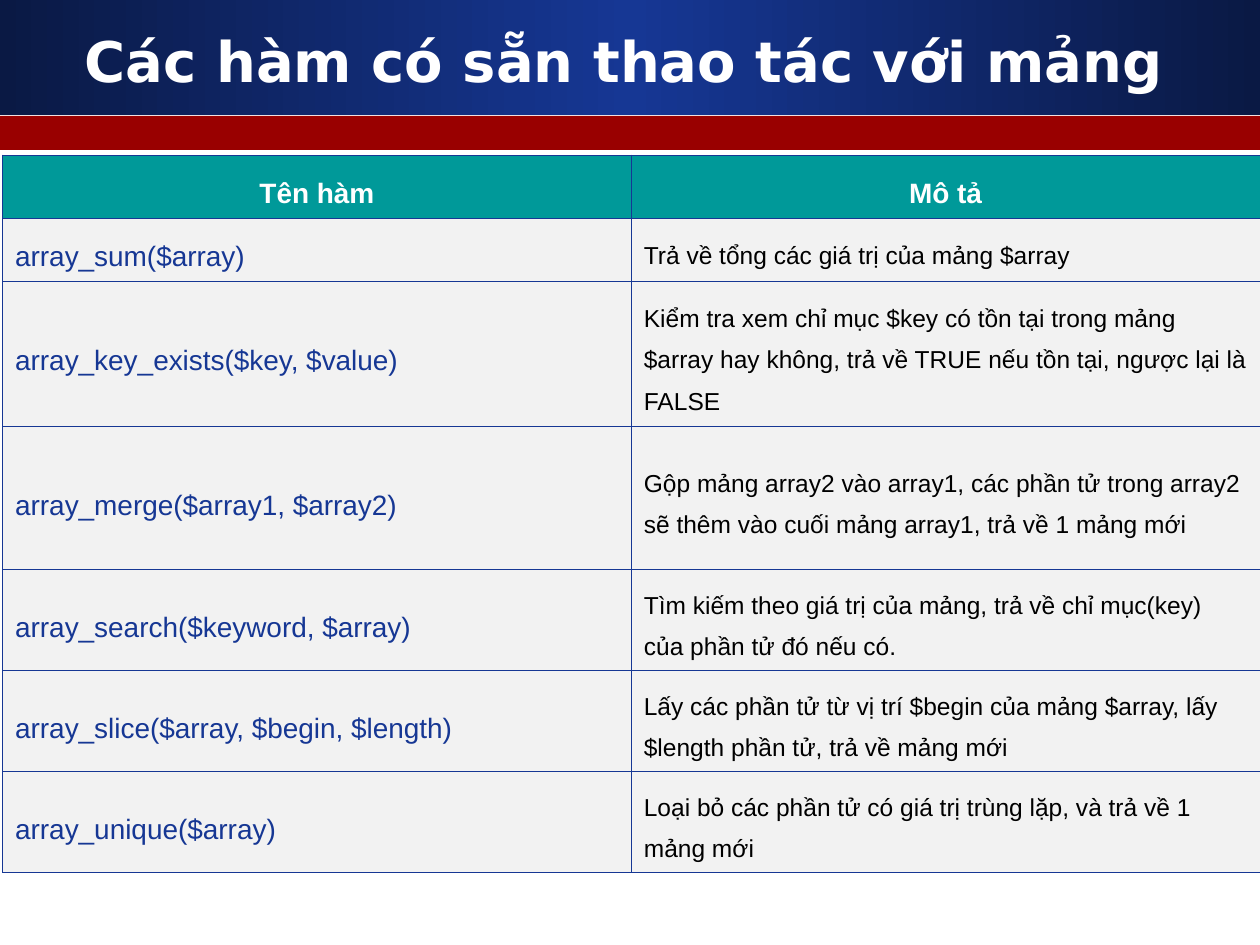
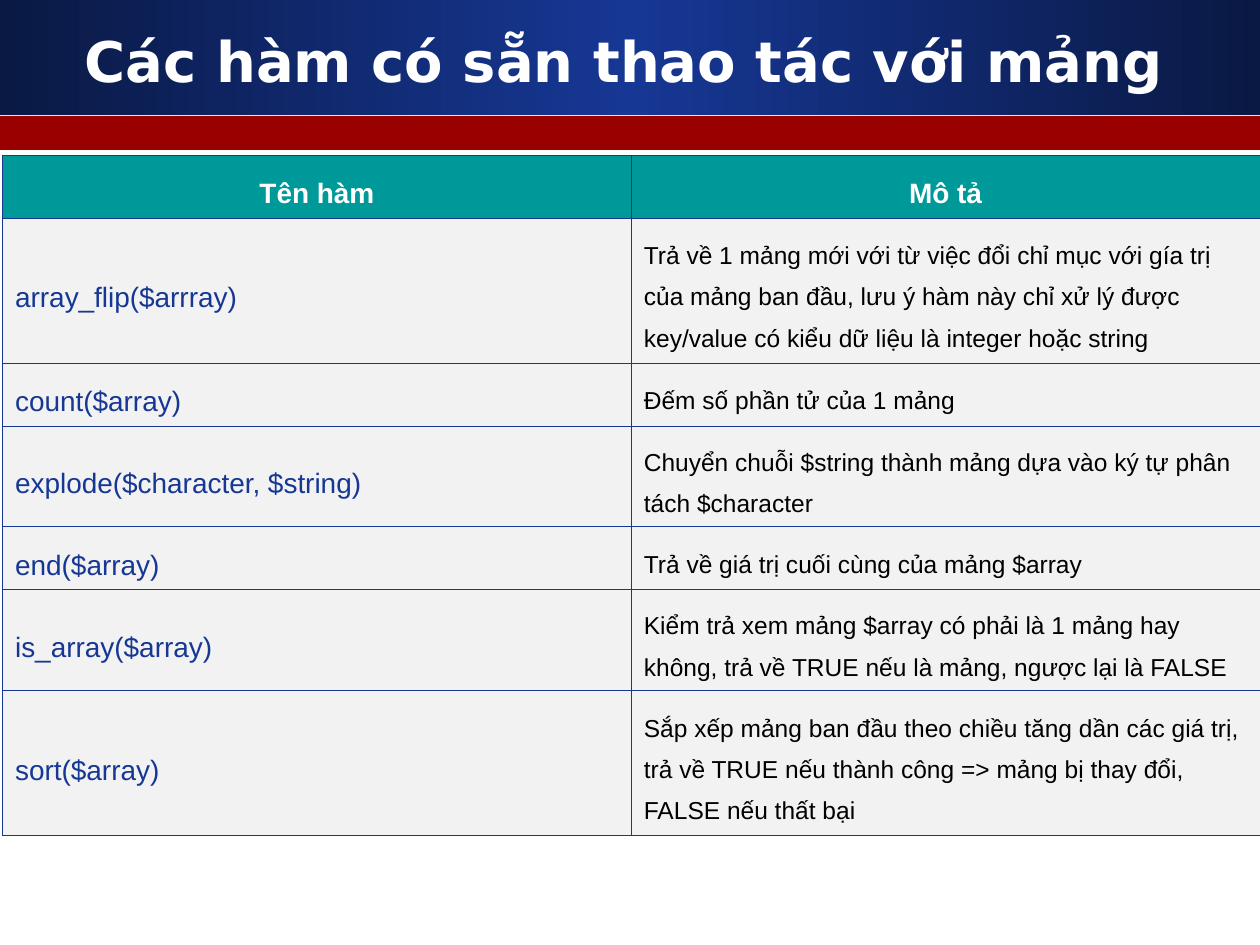
"""Builds two slides that list the built-in array functions in tables."""
from copy import deepcopy

from lxml.etree import SubElement
from pptx import Presentation
from pptx.dml.color import RGBColor
from pptx.enum.shapes import MSO_SHAPE
from pptx.enum.text import MSO_ANCHOR, PP_ALIGN
from pptx.oxml.ns import qn
from pptx.util import Inches, Pt

NAVY, BLUE, RED, TEAL = "0A1944", "163794", "990000", "009999"
PALE, WHITE, BLACK = "F2F2F2", "FFFFFF", "000000"
TITLE = "Các hàm có sẵn thao tác với mảng"
HEADINGS = ("Tên hàm", "Mô tả")
TITLE_FORMAT = {"name": "DejaVu Sans", "size": Pt(32), "bold": True}
HEADING_FORMAT = {"name": "Arial", "size": Pt(16), "bold": True}
NAME_FORMAT = {"name": "Arial", "size": Pt(16), "bold": False}
DESCRIPTION_FORMAT = {"name": "Arial", "size": Pt(14), "bold": False}
HEADING_STYLES = [(HEADING_FORMAT, WHITE)] * 2
BODY_STYLES = [(NAME_FORMAT, BLUE), (DESCRIPTION_FORMAT, BLACK)]

FUNCTION_PAGES = [
    [
        (0.5, "array_sum($array)", "Trả về tổng các giá trị của mảng $array"),
        (1.15, "array_key_exists($key, $value)",
         "Kiểm tra xem chỉ mục $key có tồn tại trong mảng $array hay không, "
         "trả về TRUE nếu tồn tại, ngược lại là FALSE"),
        (1.14, "array_merge($array1, $array2)",
         "Gộp mảng array2 vào array1, các phần tử trong array2 sẽ thêm vào "
         "cuối mảng array1, trả về 1 mảng mới"),
        (0.8, "array_search($keyword, $array)",
         "Tìm kiếm theo giá trị của mảng, trả về chỉ mục(key) của phần tử đó nếu có."),
        (0.8, "array_slice($array, $begin, $length)",
         "Lấy các phần tử từ vị trí $begin của mảng $array, lấy $length phần tử, "
         "trả về mảng mới"),
        (0.8, "array_unique($array)",
         "Loại bỏ các phần tử có giá trị trùng lặp, và trả về 1 mảng mới"),
    ],
    [
        (1.15, "array_flip($arrray)",
         "Trả về 1 mảng mới với từ việc đổi chỉ mục với gía trị của mảng ban đầu, "
         "lưu ý hàm này chỉ xử lý được key/value có kiểu dữ liệu là integer hoặc string"),
        (0.5, "count($array)", "Đếm số phần tử của 1 mảng"),
        (0.8, "explode($character, $string)",
         "Chuyển chuỗi $string thành mảng dựa vào ký tự phân tách $character"),
        (0.5, "end($array)", "Trả về giá trị cuối cùng của mảng $array"),
        (0.8, "is_array($array)",
         "Kiểm trả xem mảng $array có phải là 1 mảng hay không, trả về TRUE "
         "nếu là mảng, ngược lại là FALSE"),
        (1.15, "sort($array)",
         "Sắp xếp mảng ban đầu theo chiều tăng dần các giá trị, trả về TRUE nếu "
         "thành công => mảng bị thay đổi, FALSE nếu thất bại"),
    ],
]


def paint(color, value):
    color.rgb = RGBColor.from_string(value)


def write(frame, text, font_format, color, alignment):
    para = frame.paragraphs[0]
    para.alignment = alignment
    span = para.add_run()
    span.text = text
    for name, value in font_format.items():
        setattr(span.font, name, value)
    paint(span.font.color, color)
    return para


deck = Presentation()
deck.slide_width, deck.slide_height = Inches(10), Inches(7.5)

for functions in FUNCTION_PAGES:
    page = deck.slides.add_slide(deck.slide_layouts[6])
    page.background.fill.solid()
    paint(page.background.fill.fore_color, WHITE)

    bands = []
    for top, height in ((0, 0.91), (0.92, 0.27)):
        band = page.shapes.add_shape(
            MSO_SHAPE.RECTANGLE, 0, Inches(top), deck.slide_width, Inches(height))
        band.shadow.inherit = False
        band.line.fill.background()
        bands.append(band)
    title_band, red_band = bands
    red_band.fill.solid()
    paint(red_band.fill.fore_color, RED)
    title_band.fill.gradient()
    title_band.fill.gradient_angle = 0
    stop_list = title_band.element.spPr.find(".//" + qn("a:gsLst"))
    stop_list.append(deepcopy(stop_list[0]))
    for stop, position, color in zip(
            title_band.fill.gradient_stops, (0, 0.5, 1), (NAVY, BLUE, NAVY)):
        stop.position = position
        paint(stop.color, color)

    box = page.shapes.add_textbox(Inches(0.33), Inches(0.17), Inches(9.25), Inches(0.62))
    box.text_frame.word_wrap = True
    box.text_frame.vertical_anchor = MSO_ANCHOR.MIDDLE
    write(box.text_frame, TITLE, TITLE_FORMAT, WHITE, PP_ALIGN.CENTER)

    rows = [(0.5, *HEADINGS), *functions]
    table_height = sum(height for height, *texts in rows)
    table = page.shapes.add_table(
        len(rows), 2, Inches(0.02), Inches(1.23), Inches(9.98), Inches(table_height)).table
    table.first_row = table.horz_banding = False
    for column in table.columns:
        column.width = Inches(4.99)

    for row_index, (height, *texts) in enumerate(rows):
        table.rows[row_index].height = Inches(height)
        heading = row_index == 0
        styles = HEADING_STYLES if heading else BODY_STYLES
        alignment = PP_ALIGN.CENTER if heading else PP_ALIGN.LEFT
        for column_index, (text, (font_format, color)) in enumerate(zip(texts, styles)):
            cell = table.cell(row_index, column_index)
            cell.vertical_anchor = MSO_ANCHOR.MIDDLE
            para = write(cell.text_frame, text, font_format, color, alignment)
            para.line_spacing = 1.5
            properties = cell._tc.get_or_add_tcPr()
            for side in ("lnL", "lnR", "lnT", "lnB"):
                border = SubElement(properties, qn("a:" + side), w=str(Pt(0.45)))
                border_fill = SubElement(border, qn("a:solidFill"))
                SubElement(border_fill, qn("a:srgbClr"), val=BLUE)
            cell.fill.solid()
            paint(cell.fill.fore_color, TEAL if heading else PALE)

deck.save("out.pptx")
